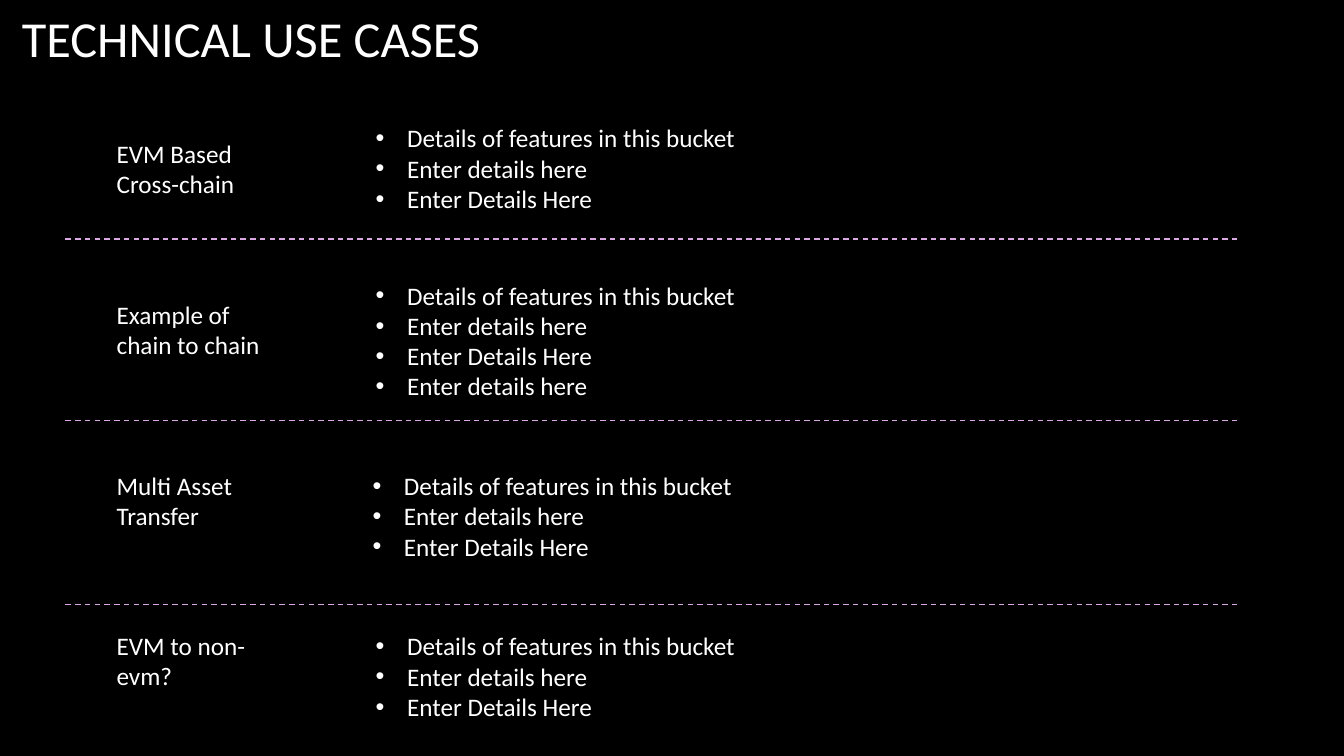
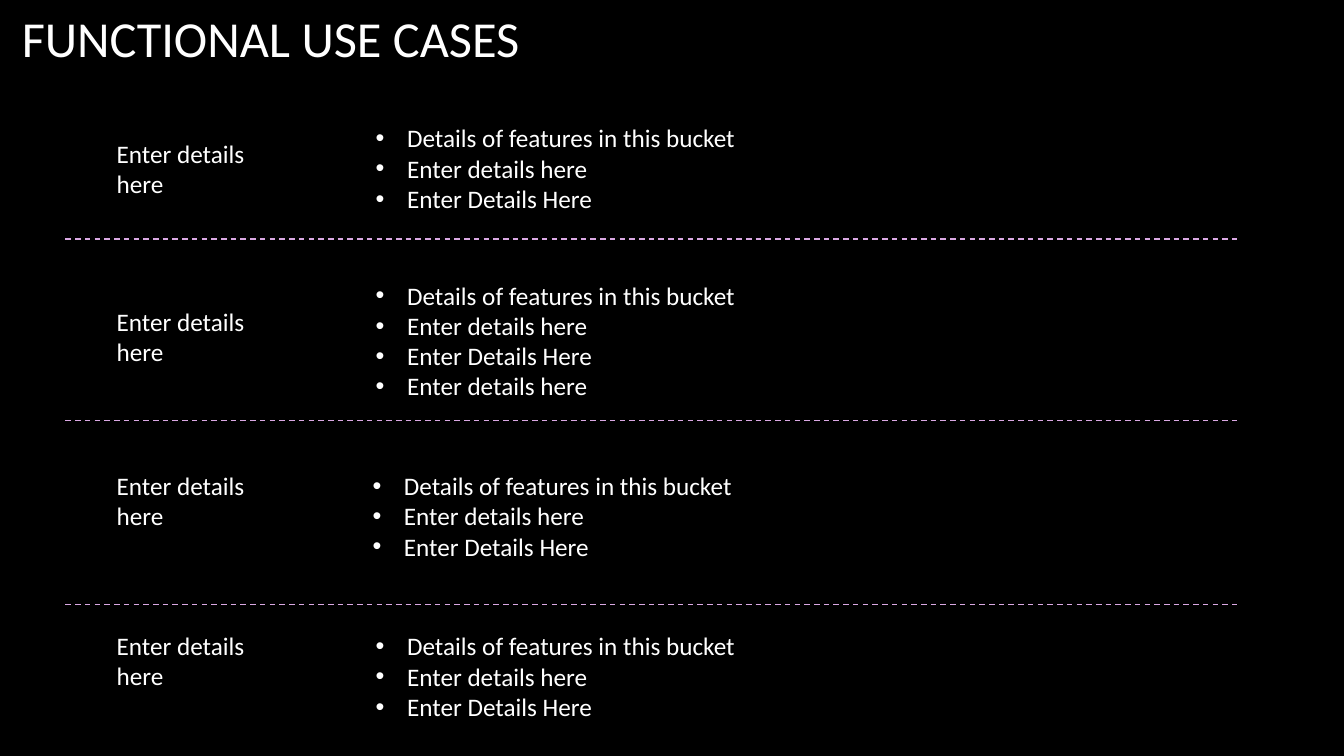
from lxml.etree import SubElement
from pptx import Presentation
from pptx.dml.color import RGBColor
from pptx.enum.dml import MSO_LINE
from pptx.enum.shapes import MSO_CONNECTOR
from pptx.enum.text import MSO_ANCHOR, MSO_AUTO_SIZE
from pptx.oxml.ns import qn
from pptx.util import Cm, Pt

COLORS = {"background": "000000", "text": "FFFFFF", "divider": "DAA8E3"}
FONT = "Calibri"
INDENT = Cm(0.79)
DIVIDER_LEFT, DIVIDER_RIGHT = 1.65, 31.17
DIVIDER_TOPS = [6.02, 10.59, 15.24]
LABEL_LEFT, LABEL_WIDTH, LABEL_HEIGHT = 2.69, 4.77, 1.8
DETAIL_WIDTH, LINE_HEIGHT, PADDING = 20.68, 0.77, 0.26
DETAIL_PLACES = [(9.22, 2.97), (9.22, 6.93), (9.14, 11.73), (9.22, 15.77)]
DETAILS = ["Details of features in this bucket", "Enter details here", "Enter Details Here"]
BUCKETS = [DETAILS, DETAILS + ["Enter details here"], DETAILS, DETAILS]

SLIDES = [
    {
        "title": "TECHNICAL USE CASES",
        "title_width": 12.98,
        "labels": ["EVM Based Cross-chain", "Example of chain to chain",
                   "Multi Asset Transfer", "EVM to non-evm?"],
        "label_tops": [3.35, 7.42, 11.73, 15.75],
    },
    {
        "title": "FUNCTIONAL USE CASES",
        "title_width": 15.32,
        "labels": ["Enter details here"] * 4,
        "label_tops": [3.35, 7.59, 11.73, 15.75],
    },
]


def add_bullet(para):
    """Give a paragraph a hanging round bullet."""
    properties = para._p.get_or_add_pPr()
    properties.set("marL", str(INDENT))
    properties.set("indent", str(-INDENT))
    SubElement(properties, qn("a:buFont"), typeface="Arial")
    SubElement(properties, qn("a:buChar"), char="•")


def add_text(page, box, lines, size=18, bullets=False, anchor=MSO_ANCHOR.TOP,
             fit=MSO_AUTO_SIZE.SHAPE_TO_FIT_TEXT):
    """Write one paragraph per line into a box given in centimetres."""
    frame = page.shapes.add_textbox(*map(Cm, box)).text_frame
    frame.word_wrap = True
    frame.auto_size = fit
    frame.vertical_anchor = anchor
    for number, line in enumerate(lines):
        para = frame.add_paragraph() if number else frame.paragraphs[0]
        if bullets:
            add_bullet(para)
        span = para.add_run()
        span.text = line
        span.font.name = FONT
        span.font.size = Pt(size)
        span.font.color.rgb = RGBColor.from_string(COLORS["text"])


def add_dividers(page, left, right, tops):
    """Group the dashed lines that separate the rows."""
    group = page.shapes.add_group_shape()
    for top in tops:
        divider = group.shapes.add_connector(
            MSO_CONNECTOR.STRAIGHT, Cm(left), Cm(top), Cm(right), Cm(top))
        divider.line.color.rgb = RGBColor.from_string(COLORS["divider"])
        divider.line.width = Pt(1)
        divider.line.dash_style = MSO_LINE.DASH
        SubElement(divider._element.spPr, qn("a:effectLst"))


def add_use_cases(deck, title, title_width, labels, label_tops):
    """Build a slide with a title and four labelled rows of details."""
    page = deck.slides.add_slide(deck.slide_layouts[6])
    add_text(page, (0.3, -1.09, title_width, 4.04), [title], size=36,
             anchor=MSO_ANCHOR.MIDDLE, fit=MSO_AUTO_SIZE.NONE)
    add_dividers(page, DIVIDER_LEFT, DIVIDER_RIGHT, DIVIDER_TOPS)
    for label, top in zip(labels, label_tops):
        add_text(page, (LABEL_LEFT, top, LABEL_WIDTH, LABEL_HEIGHT), [label])
    for (left, top), details in zip(DETAIL_PLACES, BUCKETS):
        height = PADDING + LINE_HEIGHT * len(details)
        add_text(page, (left, top, DETAIL_WIDTH, height), details, bullets=True)


def main():
    """Build and save the deck."""
    deck = Presentation()
    deck.slide_width, deck.slide_height = Cm(33.87), Cm(19.05)
    fill = deck.slide_master.background.fill
    fill.solid()
    fill.fore_color.rgb = RGBColor.from_string(COLORS["background"])
    for content in SLIDES:
        add_use_cases(deck, **content)
    deck.save("out.pptx")


main()
